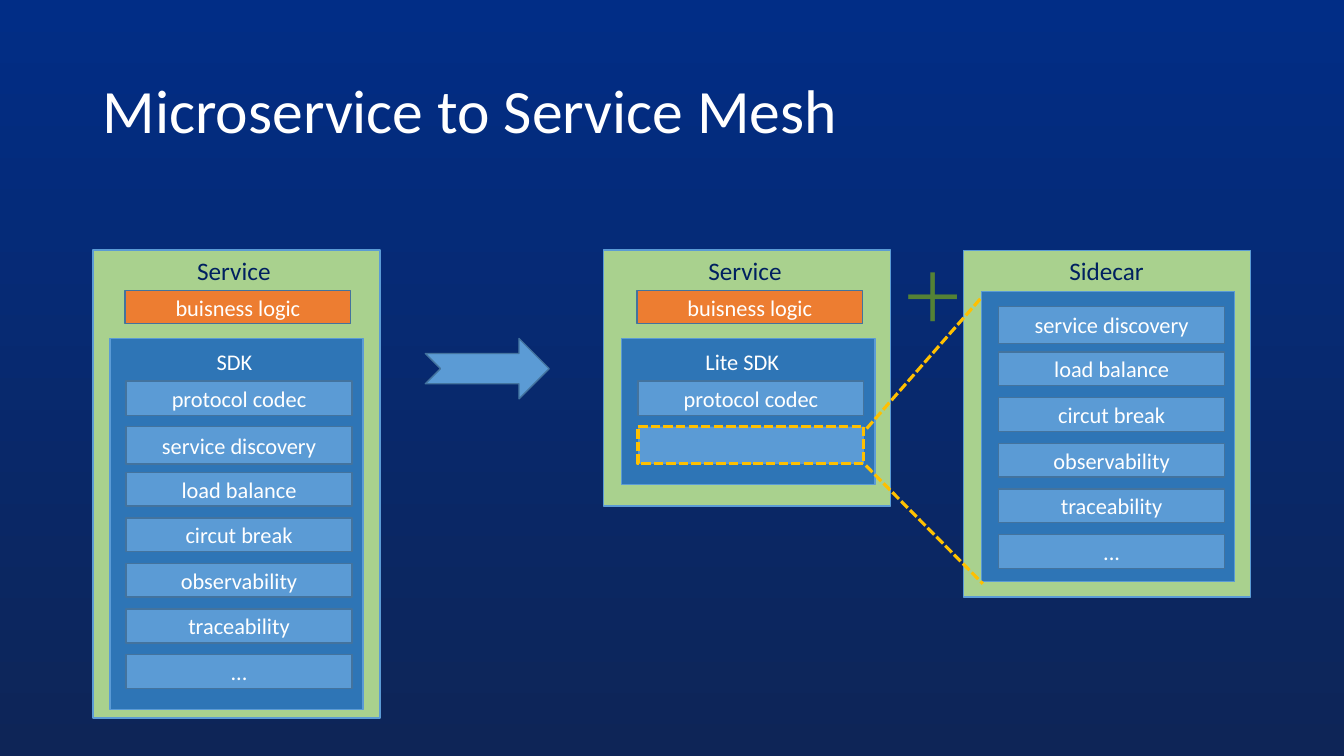
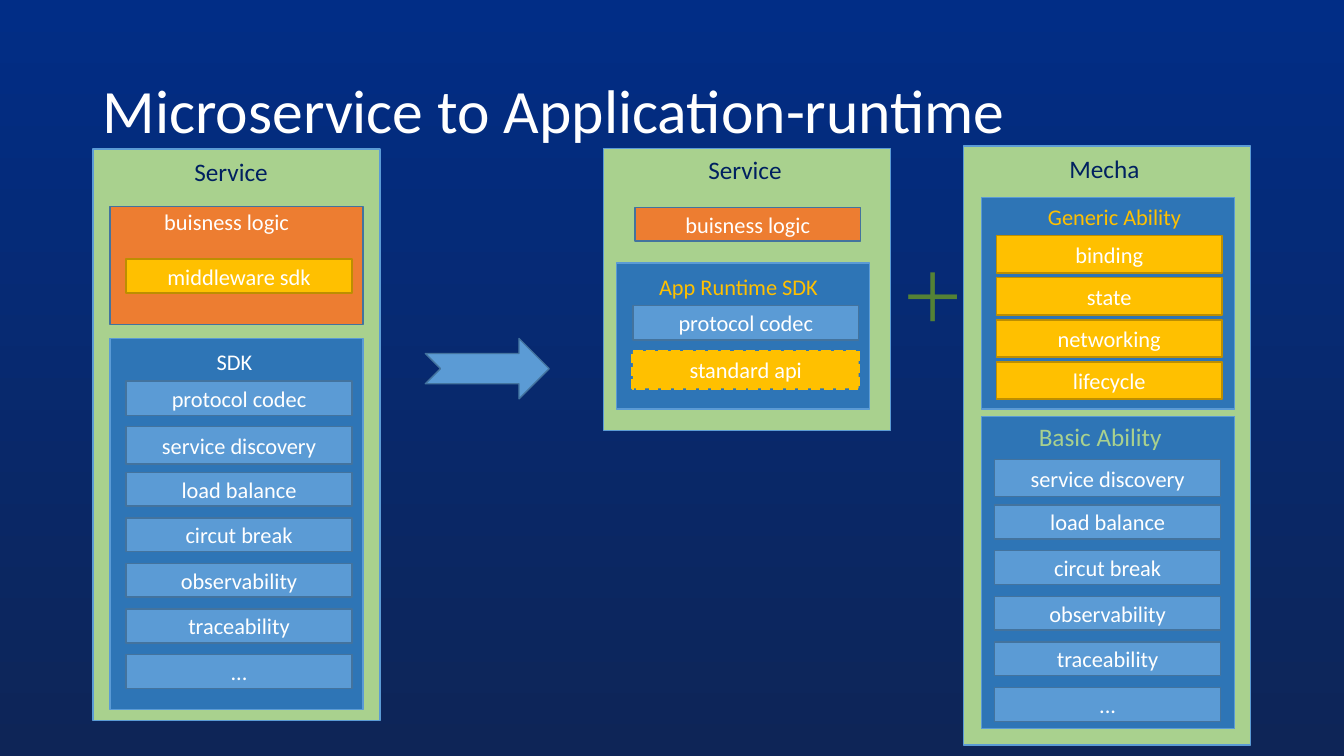
"""Build two slides on moving from microservices to a mesh and to an application runtime."""
from lxml import etree
from pptx import Presentation
from pptx import util as u
from pptx.dml.color import RGBColor
from pptx.enum import dml, shapes, text
from pptx.oxml.ns import qn

WHITE, NAVY, GOLD, LEAF, MOSS = "FFFFFF", "002060", "FFC000", "A9D18E", "548235"
SKY, STEEL, BLUE, ORANGE, BRONZE = "5B9BD5", "43739E", "2E75B6", "ED7D31", "BD8E00"
BACKGROUND = ("012D86", "0E2557")
FONT, PLUS_FONT = "Calibri", "Noto Sans CJK SC"

# style: fill, line colour, line width in points
STYLES = {
    "frame": (LEAF, SKY, 1),
    "block": (BLUE, SKY, 1),
    "item": (SKY, STEEL, 1),
    "logic": (ORANGE, STEEL, 1),
    "runtime": (GOLD, BRONZE, 1),
    "slot": (SKY, GOLD, 2.25),
    "api": (GOLD, GOLD, 2.25),
}
DASHED = ("slot", "api")
FRAME_WIDTH, BLOCK_WIDTH, ITEM_WIDTH = 7.24, 6.38, 5.69
FRAME_LEFTS = (2.34, 15.21, 24.28)
ITEM_PITCH, RUNTIME_PITCH = 1.15, 1.06

CODEC = ("item", "protocol codec", 0.87)
GOVERNANCE = [("item", "service discovery", 0.94)] + [
    ("item", name, 0.85)
    for name in ("load balance", "circut break", "observability", "traceability", "...")
]
GENERIC = [("runtime", name, 0.94) for name in ("binding", "state", "networking", "lifecycle")]

# block: style, left, top, height
# stack: left, top, pitch, items
# label: text, left, top, width, size, colour
SDK_BLOCK = ("block", 2.77, 8.53, 9.35)
SDK_STACK = (3.18, 9.6, ITEM_PITCH, [CODEC] + GOVERNANCE)
SDK_LABEL = ("SDK", 5.21, 8.66, 1.65, 16, WHITE)
LOGIC = [("logic", "buisness logic", 0.84)]

SLIDES = [
    {
        "title": "Microservice to Service Mesh",
        "frames": [(6.3, 11.79), (6.3, 6.45), (6.31, 8.74)],
        "blocks": [SDK_BLOCK, ("block", 15.67, 8.53, 3.68), ("block", 24.74, 7.34, 7.32)],
        "stacks": [
            SDK_STACK,
            (3.15, 7.32, ITEM_PITCH, LOGIC),
            (16.05, 7.32, ITEM_PITCH, LOGIC),
            (16.08, 9.6, ITEM_PITCH, [CODEC, ("slot", "", 0.94)]),
            (25.17, 7.72, ITEM_PITCH, GOVERNANCE),
        ],
        "labels": [
            SDK_LABEL,
            ("Service", 4.72, 6.3, 2.62, 18, NAVY),
            ("Service", 17.6, 6.3, 2.62, 18, NAVY),
            ("Lite SDK", 17.53, 8.66, 2.72, 16, WHITE),
            ("Sidecar", 26.7, 6.32, 2.67, 18, NAVY),
        ],
        "guides": [(21.84, 10.8, 24.74, 7.49), (21.82, 11.73, 24.77, 14.71)],
    },
    {
        "title": "Microservice to Application-runtime",
        "frames": [(3.76, 14.4), (3.74, 7.11), (3.68, 15.09)],
        "blocks": [
            SDK_BLOCK,
            ("logic", 2.77, 5.21, 2.97),
            ("block", 15.54, 6.63, 3.68),
            ("block", 24.74, 4.98, 5.33),
            ("block", 24.74, 10.49, 7.87),
        ],
        "stacks": [
            SDK_STACK,
            (3.18, 6.53, ITEM_PITCH, [("runtime", "middleware sdk", 0.86)]),
            (16.0, 5.23, ITEM_PITCH, LOGIC),
            (15.95, 7.7, ITEM_PITCH, [CODEC, ("api", "standard api", 0.94)]),
            (25.11, 5.94, RUNTIME_PITCH, GENERIC),
            (25.07, 11.58, ITEM_PITCH, GOVERNANCE),
        ],
        "labels": [
            SDK_LABEL,
            ("Service", 4.65, 3.81, 2.62, 18, NAVY),
            ("buisness logic", 3.89, 5.13, 4.11, 16, WHITE),
            ("Service", 17.6, 3.76, 2.62, 18, NAVY),
            ("App Runtime SDK", 16.36, 6.76, 5.11, 16, GOLD),
            ("Mecha", 26.7, 3.73, 2.44, 18, NAVY),
            ("Generic Ability", 26.16, 5.0, 4.17, 16, GOLD),
            ("Basic Ability", 25.93, 10.49, 3.99, 18, LEAF),
        ],
        "guides": [],
    },
]


def rgb(value):
    """Turn a hex string into a colour."""
    return RGBColor.from_string(value)


def lengths(*values):
    """Turn centimetre values into lengths."""
    return [u.Cm(value) for value in values]


def write(paragraph, words, size, colour, font=FONT):
    """Add one formatted run to a paragraph."""
    run = paragraph.add_run()
    run.text = words
    run.font.size = u.Pt(size)
    run.font.name = font
    run.font.color.rgb = rgb(colour)
    return run


def outline(line, colour, width, dashed):
    """Format a line or a shape outline."""
    line.color.rgb = rgb(colour)
    line.width = u.Pt(width)
    if dashed:
        line.dash_style = dml.MSO_LINE.SQUARE_DOT


def add_box(slide, style, place, words="", kind=shapes.MSO_SHAPE.RECTANGLE):
    """Add a filled shape in a named style, with optional centred text."""
    shape = slide.shapes.add_shape(kind, *lengths(*place))
    fill, colour, width = STYLES[style]
    shape.shadow.inherit = False
    shape.fill.solid()
    shape.fill.fore_color.rgb = rgb(fill)
    outline(shape.line, colour, width, style in DASHED)
    if words:
        shape.text_frame.vertical_anchor = text.MSO_ANCHOR.MIDDLE
        paragraph = shape.text_frame.paragraphs[0]
        paragraph.alignment = text.PP_ALIGN.CENTER
        write(paragraph, words, 16, WHITE)


def add_label(slide, words, left, top, width, size, colour, height=1.0, font=FONT):
    """Add a one-line text box that fits its text."""
    frame = slide.shapes.add_textbox(*lengths(left, top, width, height)).text_frame
    frame.word_wrap = False
    frame.auto_size = text.MSO_AUTO_SIZE.SHAPE_TO_FIT_TEXT
    return write(frame.paragraphs[0], words, size, colour, font)


def add_title(slide, words):
    """Add the slide title."""
    frame = slide.shapes.add_textbox(*lengths(2.34, 1.02, 29.21, 3.68)).text_frame
    frame.word_wrap = True
    frame.vertical_anchor = text.MSO_ANCHOR.MIDDLE
    frame.paragraphs[0].line_spacing = 0.9
    write(frame.paragraphs[0], words, 44, WHITE)


def add_transition(slide):
    """Add the arrow and the plus sign between the columns."""
    add_box(slide, "item", (10.72, 8.53, 3.12, 1.52),
            kind=shapes.MSO_SHAPE.NOTCHED_RIGHT_ARROW)
    run = add_label(slide, "＋", 22.43, 6.3, 2.21, 48, MOSS, 2.31, PLUS_FONT)
    properties = run.font._element if hasattr(run.font, "_element") else run._r.get_or_add_rPr()
    etree.SubElement(properties, qn("a:ea"), typeface=PLUS_FONT)


def add_guide(slide, ends):
    """Add a dashed line that links the slot to the sidecar."""
    connector = slide.shapes.add_connector(shapes.MSO_CONNECTOR.STRAIGHT, *lengths(*ends))
    outline(connector.line, GOLD, 2.25, True)
    etree.SubElement(connector._element.spPr, qn("a:effectLst"))


def build_slide(presentation, content):
    """Build one slide from its content."""
    slide = presentation.slides.add_slide(presentation.slide_layouts[6])
    for left, (top, height) in zip(FRAME_LEFTS, content["frames"]):
        add_box(slide, "frame", (left, top, FRAME_WIDTH, height))
    for style, left, top, height in content["blocks"]:
        add_box(slide, style, (left, top, BLOCK_WIDTH, height))
    add_title(slide, content["title"])
    for left, top, pitch, items in content["stacks"]:
        for row, (style, words, height) in enumerate(items):
            add_box(slide, style, (left, top + row * pitch, ITEM_WIDTH, height), words)
    for label in content["labels"]:
        add_label(slide, *label)
    add_transition(slide)
    for ends in content["guides"]:
        add_guide(slide, ends)


def main():
    """Build and save the presentation."""
    presentation = Presentation()
    presentation.slide_width, presentation.slide_height = lengths(33.87, 19.05)
    fill = presentation.slide_master.background.fill
    fill.gradient()
    fill.gradient_angle = 270
    for stop, colour in zip(fill.gradient_stops, BACKGROUND):
        stop.color.rgb = rgb(colour)
    for content in SLIDES:
        build_slide(presentation, content)
    presentation.save("out.pptx")


if __name__ == "__main__":
    main()
